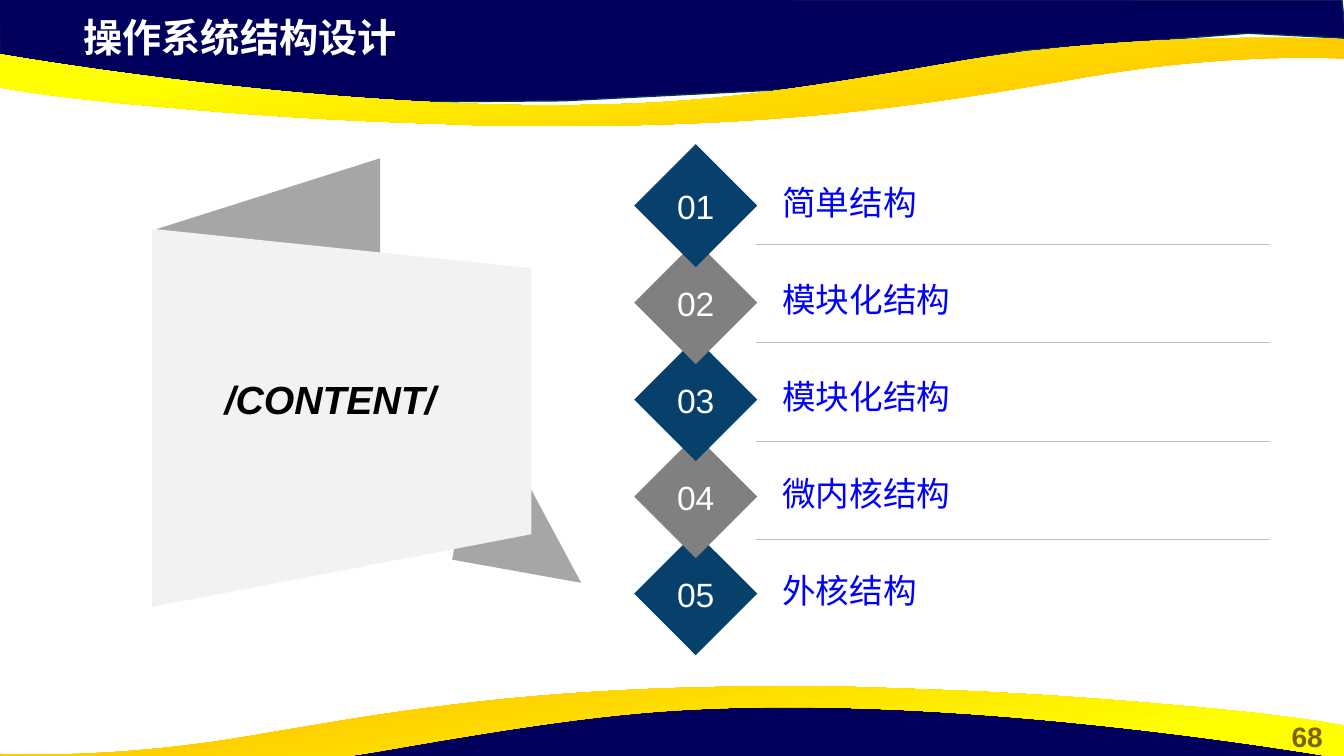
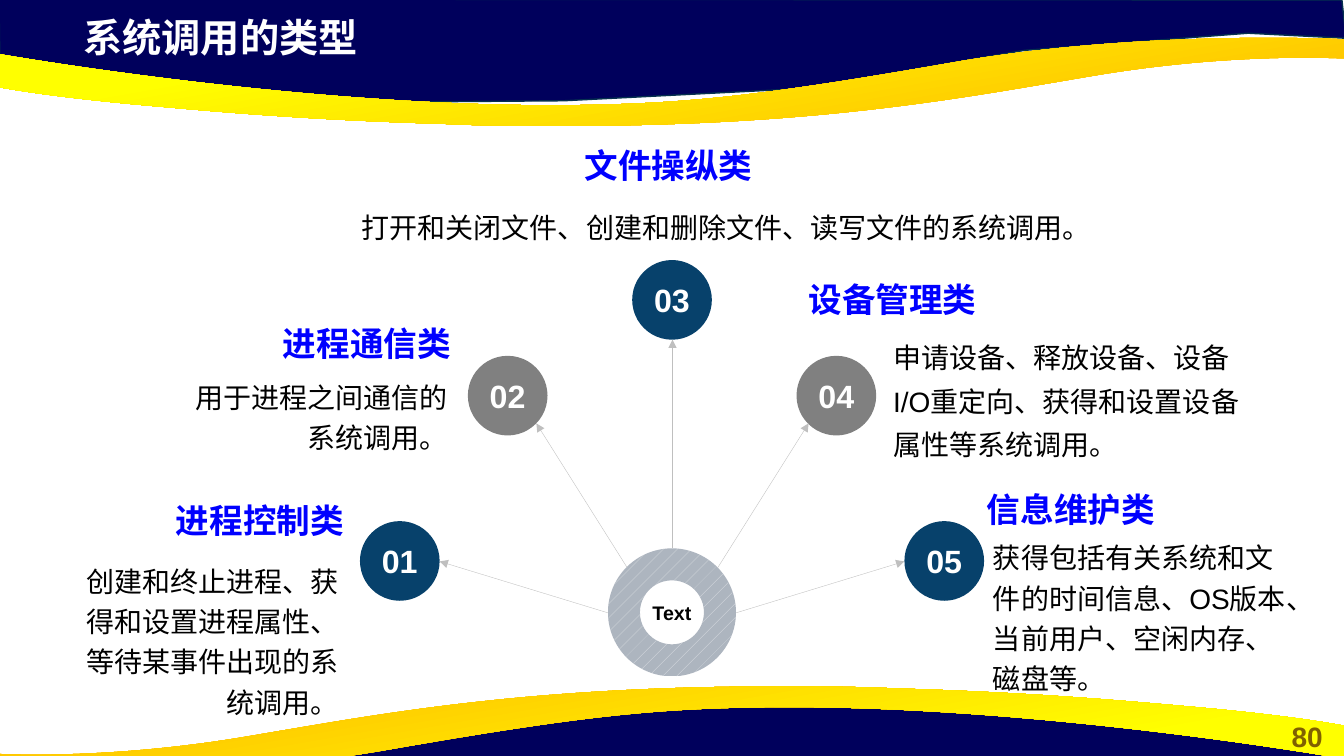
from lxml import etree
from pptx import Presentation
from pptx.dml.color import RGBColor
from pptx.enum.dml import MSO_PATTERN
from pptx.enum.shapes import MSO_CONNECTOR, MSO_SHAPE
from pptx.enum.text import MSO_ANCHOR, PP_ALIGN
from pptx.oxml.ns import qn
from pptx.util import Inches, Pt

NAVY = RGBColor(0x00, 0x00, 0x5C)
EDGE = RGBColor(0x05, 0x30, 0x4F)
AMBER = RGBColor(0xFF, 0xC0, 0x00)
YELLOW = RGBColor(0xFF, 0xFF, 0x00)
BROWN = RGBColor(0x80, 0x60, 0x00)
TEAL = RGBColor(0x07, 0x41, 0x6B)
GRAY = RGBColor(0x80, 0x80, 0x80)
MID_GRAY = RGBColor(0xA6, 0xA6, 0xA6)
LINE_GRAY = RGBColor(0xBF, 0xBF, 0xBF)
PALE_GRAY = RGBColor(0xF2, 0xF2, 0xF2)
HATCH_FORE = RGBColor(0xE4, 0xE6, 0xEA)
HATCH_BACK = RGBColor(0xAD, 0xB5, 0xBF)
BLUE = RGBColor(0x00, 0x00, 0xFF)
WHITE = RGBColor(0xFF, 0xFF, 0xFF)
BLACK = RGBColor(0x00, 0x00, 0x00)

LEFT, CENTER, RIGHT = PP_ALIGN.LEFT, PP_ALIGN.CENTER, PP_ALIGN.RIGHT
TOP, MIDDLE, BOTTOM = MSO_ANCHOR.TOP, MSO_ANCHOR.MIDDLE, MSO_ANCHOR.BOTTOM
STRAIGHT = MSO_CONNECTOR.STRAIGHT
FONT = "Arial"
UNITS = 1000  # freeform units per inch


def add_box(s, box, text="", size=20, color=BLACK, bold=False, align=LEFT,
            anchor=TOP, spacing=None, preset=None, fill=None):
    """Add a text box, or a filled preset shape, with one paragraph."""
    box = [Inches(v) for v in box]
    if preset is None:
        sp = s.shapes.add_textbox(*box)
    else:
        sp = s.shapes.add_shape(preset, *box)
        sp.shadow.inherit = False
        sp.line.fill.background()
        if fill is not None:
            sp.fill.solid()
            sp.fill.fore_color.rgb = fill
    if text:
        tf = sp.text_frame
        tf.word_wrap = True
        tf.vertical_anchor = anchor
        p = tf.paragraphs[0]
        p.text = text
        p.alignment = align
        p.line_spacing = spacing
        p.font.name, p.font.size = FONT, Pt(size)
        p.font.bold, p.font.color.rgb = bold, color
    return sp


def add_outline(s, segments, fill=None):
    """Add a closed freeform; a segment is one point, or three for a curve."""
    ends = [(x * UNITS, y * UNITS) for x, y in (seg[-1] for seg in segments)]
    fb = s.shapes.build_freeform(*ends[0], scale=Inches(1) / UNITS)
    fb.add_line_segments(ends[1:], close=True)
    sp = fb.convert_to_shape()
    sp.shadow.inherit = False
    sp.line.fill.background()
    if fill is not None:
        sp.fill.solid()
        sp.fill.fore_color.rgb = fill
    left, top = (min(v) for v in zip(*ends))
    steps = list(sp._element.iter(qn("a:lnTo")))
    for step, seg in zip(steps, segments[1:]):
        if len(seg) == 3:
            step.tag = qn("a:cubicBezTo")
            for x, y in reversed(seg[:2]):
                pt = etree.Element(qn("a:pt"), x=str(round(x * UNITS - left)),
                                   y=str(round(y * UNITS - top)))
                step.insert(0, pt)
    return sp


# Top band outlines; the bottom ones are the same turned by 180 degrees
navy_band = [[pt] for pt in (
    (-0.01, -0.01), (0, 0.7), (2.93, 1.02), (5.59, 1), (7.95, 0.88),
    (10.16, 0.5), (12.38, 0.33), (13.35, 0.38), (13.31, 0))]
ribbon = [
    [(5.57, 1.25)],
    [(5.21, 1.25), (4.82, 1.25), (4.41, 1.23)],
    [(3.04, 1.19), (2.17, 1.11), (1.49, 1.05)],
    [(0.37, 0.95), (-0.02, 0.86), (-0.05, 0.86)],
    [(-0.05, 0.53)],
    [(-0.05, 0.53), (3.15, 1.1), (5.88, 1.04)],
    [(6.88, 1.02), (7.63, 0.94), (9.51, 0.61)],
    [(11.39, 0.29), (13.33, 0.39), (13.33, 0.39)],
    [(13.33, 0.58)],
    [(13.3, 0.58)],
    [(13.07, 0.57), (12.07, 0.54), (10.8, 0.76)],
    [(9.55, 0.97), (8.12, 1.25), (5.57, 1.25)],
]
navy_turned = [[(13.33 - x, 7.93 - y) for x, y in seg] for seg in navy_band]
ribbon_turned = [[(13.29 - x, 8.06 - y) for x, y in seg] for seg in ribbon]

prs = Presentation()
prs.slide_width, prs.slide_height = Inches(13.33), Inches(7.5)

# Frame of every slide: bands, page number, title
slides = []
for title, number in (("操作系统结构设计", "68"), ("系统调用的类型", "80")):
    s = prs.slides.add_slide(prs.slide_layouts[6])
    slides.append(s)
    for navy, yellow, angle in ((navy_band, ribbon, 100),
                                (navy_turned, ribbon_turned, 280)):
        sp = add_outline(s, navy, NAVY)
        sp.line.color.rgb = EDGE
        sp.line.width = Pt(1)
        sp = add_outline(s, yellow)
        sp.fill.gradient()
        sp.fill.gradient_angle = angle
        for stop, (pos, color) in zip(sp.fill.gradient_stops,
                                      ((0.11, AMBER), (0.78, YELLOW))):
            stop.position, stop.color.rgb = pos, color
    add_box(s, (12.6, 7.09, 0.73, 0.44), number, 20, BROWN, True, CENTER)
    add_box(s, (0.73, 0.08, 7.68, 0.57), title, 28, WHITE, True)

# Slide 1: folded card
s = slides[0]
for preset, box, angle in (
        (MSO_SHAPE.RIGHT_TRIANGLE, (4.62, 4.04, 1.3, 1.64), 10.2),
        (MSO_SHAPE.ISOSCELES_TRIANGLE, (1.94, 1.16, 1.42, 2.24), 270)):
    add_box(s, box, preset=preset, fill=MID_GRAY).rotation = angle
add_outline(s, [[(1.51, 2.27)], [(5.27, 2.66)], [(5.27, 5.3)], [(1.51, 6.02)]],
            PALE_GRAY)
sp = add_box(s, (1.65, 3.51, 3.25, 0.9), "/CONTENT/", 28, BLACK, True, CENTER, MIDDLE)
sp.text_frame.paragraphs[0].font.italic = True

# Slide 1: numbered list, upper diamonds overlapping lower ones
topics = ["简单结构", "模块化结构", "模块化结构", "微内核结构", "外核结构"]
for i, topic in reversed(list(enumerate(topics))):
    y = 1.43 + 0.9625 * i
    add_box(s, (6.29, y, 1.22, 1.22), f"{i + 1:02d}", 24, WHITE, False, CENTER, MIDDLE,
            preset=MSO_SHAPE.DIAMOND, fill=(TEAL, GRAY)[i % 2])
    add_box(s, (7.66, y + 0.35, 5.1, 0.47), topic, 24, BLUE, anchor=BOTTOM)

# Slide 2: hub
hub = add_box(slides[1], (6.03, 5.44, 1.27, 1.27), "Text", 14, BLACK, True, CENTER,
              MIDDLE, preset=MSO_SHAPE.DONUT)
hub.fill.patterned()
hub.fill.pattern = MSO_PATTERN.PERCENT_5
hub.fill.fore_color.rgb = HATCH_FORE
hub.fill.back_color.rgb = HATCH_BACK

# Slide 2: numbered circles (corner, arrow start, arrow end)
spokes = [
    ((3.57, 5.17), (6.03, 6.08), (4.36, 5.57)),
    ((4.64, 3.53), (6.22, 5.63), (5.32, 4.2)),
    ((6.27, 2.58), (6.67, 5.44), (6.67, 3.37)),
    ((7.9, 3.53), (7.12, 5.63), (8.02, 4.2)),
    ((8.97, 5.17), (7.3, 6.08), (8.97, 5.57)),
]
for i, (corner, start, end) in enumerate(spokes):
    add_box(slides[1], corner + (0.79, 0.79), f"{i + 1:02d}", 23, WHITE, True, CENTER,
            MIDDLE, preset=MSO_SHAPE.OVAL, fill=(TEAL, GRAY)[i % 2])

# Thin lines: rules between the topics, arrows from the hub
rules = [(slides[0], (7.5, 2.42 + 0.977 * i), (12.6, 2.42 + 0.977 * i), False)
         for i in range(len(topics) - 1)]
arrows = [(slides[1], start, end, True) for corner, start, end in spokes]
for s, start, end, has_arrow in rules + arrows:
    c = s.shapes.add_connector(STRAIGHT, *[Inches(v) for v in start + end])
    c.line.color.rgb = LINE_GRAY
    c.line.width = Pt(0.25)
    if has_arrow:
        etree.SubElement(c.line._get_or_add_ln(), qn("a:tailEnd"), type="triangle")
    etree.SubElement(c._element.spPr, qn("a:effectLst"))

# Slide 2: heading and description of each type
call_types = [
    ("进程控制类", (0.77, 4.91, 2.74, 0.45), RIGHT, 1.2, (0.72, 5.48, 2.74, 0.78),
     "创建和终止进程、获得和设置进程属性、等待某事件出现的系统调用。"),
    ("进程通信类", (1.83, 3.15, 2.74, 0.45), RIGHT, 1.2, (1.63, 3.66, 2.91, 1.14),
     "用于进程之间通信的系统调用。"),
    ("文件操纵类", (5.2, 1.39, 2.86, 0.45), CENTER, 1.4, (3.2, 1.91, 8.01, 0.61),
     "打开和关闭文件、创建和删除文件、读写文件的系统调用。"),
    ("设备管理类", (7.92, 2.72, 2.73, 0.45), LEFT, 1.3, (8.76, 3.23, 3.8, 1.23),
     "申请设备、释放设备、设备I/O重定向、获得和设置设备属性等系统调用。"),
    ("信息维护类", (9.69, 4.8, 2.73, 0.45), LEFT, 1.2, (9.75, 5.25, 3.11, 1.78),
     "获得包括有关系统和文件的时间信息、OS版本、当前用户、空闲内存、磁盘等。"),
]
for heading, heading_box, align, spacing, body_box, body in call_types:
    add_box(slides[1], heading_box, heading, 24, BLUE, True, align)
    add_box(slides[1], body_box, body, 20, BLACK, False, align, spacing=spacing)

prs.save("out.pptx")
